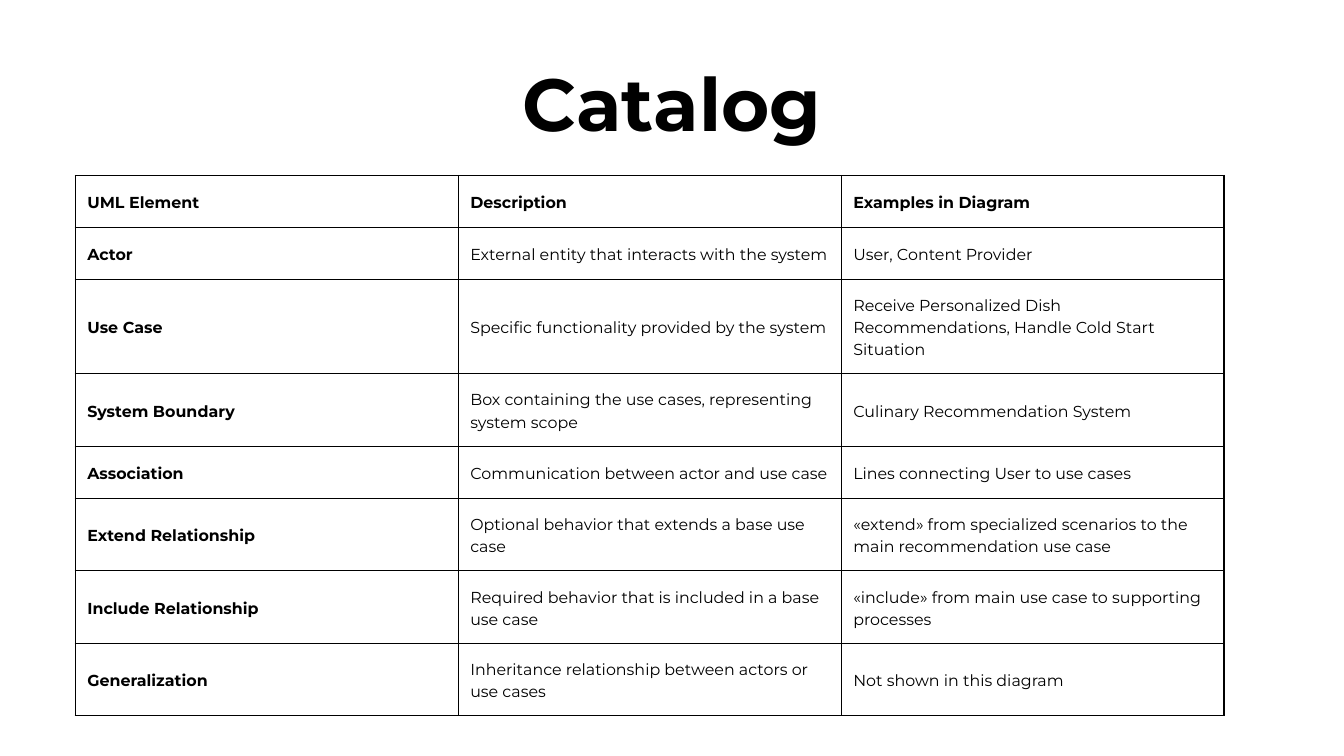
from dataclasses import dataclass

from lxml import etree
from pptx import Presentation
from pptx.dml.color import RGBColor
from pptx.enum.text import MSO_ANCHOR, MSO_AUTO_SIZE, PP_ALIGN
from pptx.oxml.ns import qn
from pptx.util import Cm, Pt

CENTER, LEFT = PP_ALIGN.CENTER, PP_ALIGN.LEFT
TOP, MIDDLE = MSO_ANCHOR.TOP, MSO_ANCHOR.MIDDLE
NO_FIT = MSO_AUTO_SIZE.NONE
TITLE_ONLY = 5


@dataclass(frozen=True)
class Theme:
    """Colours, font and type sizes of the deck."""
    ink: str = "000000"
    paper: str = "FFFFFF"
    font: str = "Montserrat"
    title_size: float = 79
    title_leading: float = 110.6
    cell_size: float = 17
    cell_leading: float = 23.8
    border: float = 1.5


THEME = Theme()

ROWS = [
    ("UML Element", "Description", "Examples in Diagram"),
    ("Actor", "External entity that interacts with the system",
     "User, Content Provider"),
    ("Use Case", "Specific functionality provided by the system",
     "Receive Personalized Dish Recommendations, Handle Cold Start Situation"),
    ("System Boundary", "Box containing the use cases, representing system scope",
     "Culinary Recommendation System"),
    ("Association", "Communication between actor and use case",
     "Lines connecting User to use cases"),
    ("Extend Relationship", "Optional behavior that extends a base use case",
     "«extend» from specialized scenarios to the main recommendation use case"),
    ("Include Relationship", "Required behavior that is included in a base use case",
     "«include» from main use case to supporting processes"),
    ("Generalization", "Inheritance relationship between actors or use cases",
     "Not shown in this diagram"),
]
LINE_COUNTS = [1, 1, 3, 2, 1, 2, 2, 2]
ROW_HEIGHTS = {1: Cm(1.97), 2: Cm(2.74), 3: Cm(3.56)}


def style_text(tf, size, leading, bold, align):
    """Format the first paragraph of a text frame."""
    p = tf.paragraphs[0]
    p.alignment = align
    p.line_spacing = Pt(leading)
    p.space_before = Pt(0)
    for r in p.runs:
        r.font.name = THEME.font
        r.font.size = Pt(size)
        r.font.bold = bold
        r.font.color.rgb = RGBColor.from_string(THEME.ink)


def set_borders(cell):
    """Draw a solid line on all four sides of a cell."""
    pr = cell._tc.get_or_add_tcPr()
    for i, side in enumerate(("a:lnL", "a:lnR", "a:lnT", "a:lnB")):
        ln = etree.Element(qn(side), w=str(Pt(THEME.border)))
        fill = etree.SubElement(ln, qn("a:solidFill"))
        etree.SubElement(fill, qn("a:srgbClr"), val=THEME.ink)
        pr.insert(i, ln)


def fill_title(slide, text, left, top, width, height):
    """Place the title placeholder in the given box."""
    sp = slide.shapes.title
    sp.left, sp.top, sp.width, sp.height = left, top, width, height
    tf = sp.text_frame
    tf.text = text
    tf.word_wrap = True
    tf.auto_size = NO_FIT
    tf.vertical_anchor = TOP
    tf.margin_left = tf.margin_right = tf.margin_top = tf.margin_bottom = 0
    style_text(tf, THEME.title_size, THEME.title_leading, True, CENTER)


def fill_cell(cell, text, bold):
    """Write and format one table cell."""
    cell.text_frame.text = text
    cell.vertical_anchor = MIDDLE
    cell.margin_left = cell.margin_right = Cm(0.46)
    cell.margin_top = cell.margin_bottom = Cm(0.46)
    cell.fill.background()
    set_borders(cell)
    style_text(cell.text_frame, THEME.cell_size, THEME.cell_leading, bold, LEFT)


def add_catalog(slide, left, top, width):
    """Add the table of UML elements with equal columns."""
    heights = [ROW_HEIGHTS[n] for n in LINE_COUNTS]
    cols = len(ROWS[0])
    table = slide.shapes.add_table(
        len(ROWS), cols, left, top, width, sum(heights)).table
    table.first_row = table.horz_banding = False
    for col in table.columns:
        col.width = width // cols
    for i, texts in enumerate(ROWS):
        table.rows[i].height = heights[i]
        for j, text in enumerate(texts):
            fill_cell(table.cell(i, j), text, i == 0 or j == 0)


def main():
    """Build the catalog slide and save it."""
    prs = Presentation()
    prs.slide_width, prs.slide_height = Cm(50.8), Cm(28.58)
    s = prs.slides.add_slide(prs.slide_layouts[TITLE_ONLY])
    s.background.fill.solid()
    s.background.fill.fore_color.rgb = RGBColor.from_string(THEME.paper)
    add_catalog(s, Cm(2.84), Cm(6.63), Cm(43.43))
    fill_title(s, "Catalog", Cm(6.81), Cm(1.63), Cm(37.19), Cm(3.76))
    prs.save("out.pptx")


if __name__ == "__main__":
    main()
